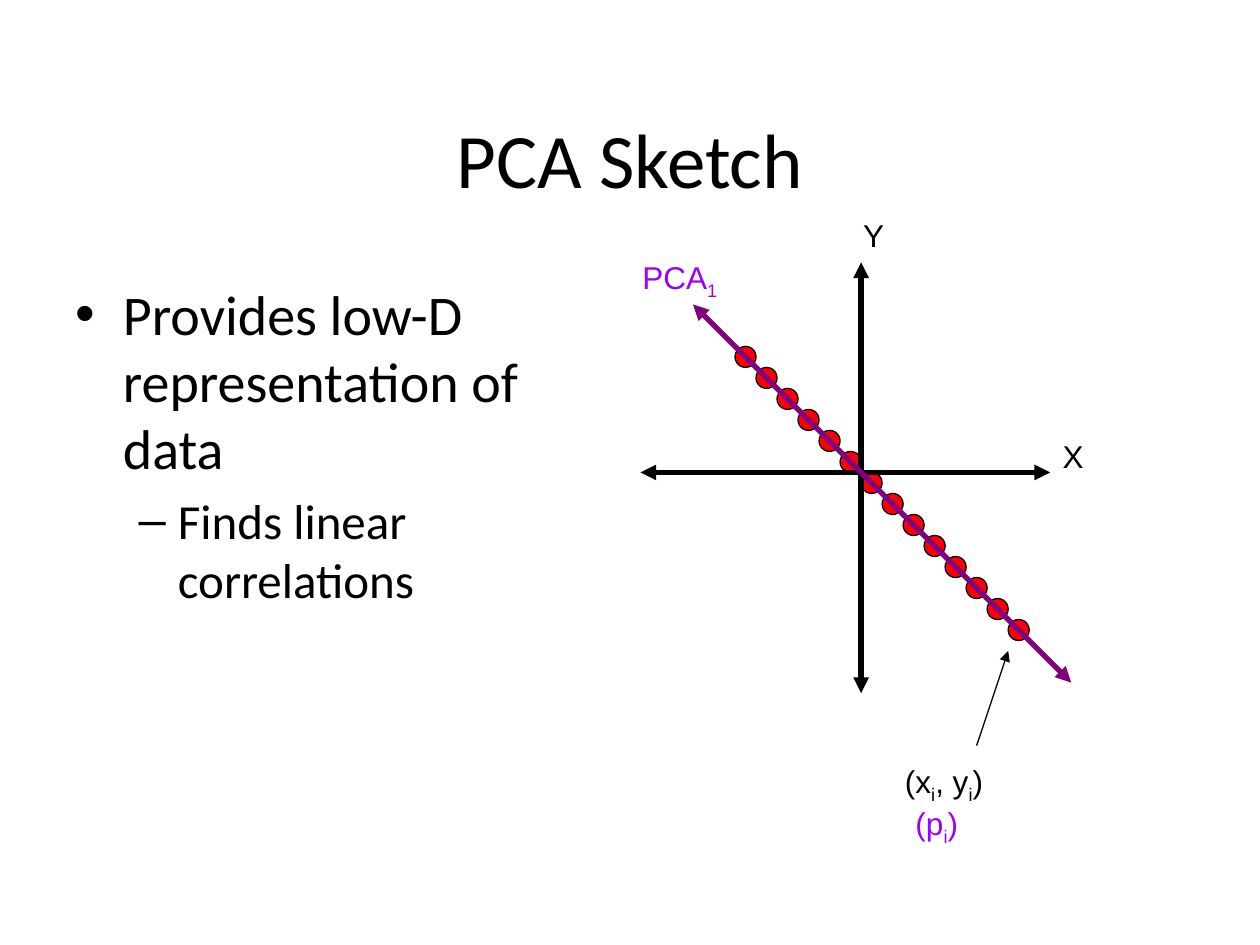
import pptx
import pptx.dml.color
import pptx.enum.shapes
import pptx.enum.text
import pptx.oxml.xmlchemy
import pptx.util

BLACK, RED, PURPLE, VIOLET = "000000", "FF0000", "800080", "9900FF"


def color(hex_string):
    return pptx.dml.color.RGBColor.from_string(hex_string)


def write_text(paragraph, text, size=18, font="Arial", fill=BLACK, align=None, level=0):
    paragraph.level = level
    paragraph.alignment = align
    first, *others = text.split("_")
    pieces = [(first, False)]
    for other in others:
        pieces += [(other[0], True), (other[1:], False)]
    for piece, subscript in pieces:
        if not piece:
            continue
        run = paragraph.add_run()
        run.text = piece
        run.font.size = pptx.util.Pt(size)
        run.font.name = font
        run.font.color.rgb = color(fill)
        if subscript:
            run.font._element.set("baseline", "-25000")


def place(shape, left, top, width, height):
    shape.left, shape.top, shape.width, shape.height = left, top, width, height


def add_title(slide, left, top, width, height):
    title = slide.shapes.title
    place(title, left, top, width, height)
    title.text_frame.vertical_anchor = pptx.enum.text.MSO_ANCHOR.MIDDLE
    write_text(title.text_frame.paragraphs[0], "PCA Sketch", size=44, font="Calibri",
               align=pptx.enum.text.PP_ALIGN.CENTER)


def add_points(slide, left, top, width, height):
    body = slide.placeholders[1]
    place(body, left, top, width, height)
    first = body.text_frame.paragraphs[0]
    first.space_before = pptx.util.Pt(0)
    write_text(first, "Provides low-D representation of data", size=32, font="Calibri")
    write_text(body.text_frame.add_paragraph(), "Finds linear correlations",
               size=28, font="Calibri", level=1)


def add_arrow(slide, start, end, line_color, weight, arrowheads):
    connector = slide.shapes.add_connector(
        pptx.enum.shapes.MSO_CONNECTOR.STRAIGHT, *start, *end)
    connector.line.color.rgb = color(line_color)
    connector.line.width = pptx.util.Pt(weight)
    line = connector.line._get_or_add_ln()
    for arrowhead in arrowheads:
        element = pptx.oxml.xmlchemy.OxmlElement(f"a:{arrowhead}")
        element.set("type", "triangle")
        line.append(element)
    connector._element.spPr.append(pptx.oxml.xmlchemy.OxmlElement("a:effectLst"))


def add_dot(slide, left, top, diameter):
    dot = slide.shapes.add_shape(
        pptx.enum.shapes.MSO_SHAPE.OVAL, left, top, diameter, diameter)
    dot.shadow.inherit = False
    dot.fill.solid()
    dot.fill.fore_color.rgb = color(RED)
    dot.line.color.rgb = color(BLACK)
    dot.line.width = pptx.util.Pt(0.75)


def add_label(slide, text, left, top, width, height, fill):
    frame = slide.shapes.add_textbox(left, top, width, height).text_frame
    frame.word_wrap = True
    frame.auto_size = pptx.enum.text.MSO_AUTO_SIZE.SHAPE_TO_FIT_TEXT
    write_text(frame.paragraphs[0], text, fill=fill)


def add_plot(slide, left, top, width):
    unit = width / 22.5

    def point(column, row):
        return round(left + column * unit), round(top + row * unit)

    for index in range(14):
        add_dot(slide, *point(5 + index, 6.5 + index), round(unit))

    both_ends = ("headEnd", "tailEnd")
    for start, end, line_color, weight, arrowheads in (
        ((11, 23), (11, 2.5), BLACK, 3, both_ends),
        ((0.5, 12.5), (20, 12.5), BLACK, 3, both_ends),
        ((21, 22.5), (3, 4.5), PURPLE, 3, both_ends),
        ((16.5, 25.5), (18, 21), BLACK, 0.75, ("tailEnd",)),
    ):
        add_arrow(slide, point(*start), point(*end), line_color, weight, arrowheads)

    for text, column, row, columns, fill in (
        ("Y", 10.5, 0, 2.5, BLACK),
        ("X", 20, 10.5, 2.5, BLACK),
        ("PCA_1", 0, 2, 6.5, VIOLET),
        ("(x_i, y_i)", 12.5, 26, 9, BLACK),
        ("(p_i)", 13, 28, 3.5, VIOLET),
    ):
        add_label(slide, text, *point(column, row),
                  round(columns * unit), round(2.4 * unit), fill)


def main():
    centimetres = pptx.util.Cm
    presentation = pptx.Presentation()
    presentation.slide_width = centimetres(25.4)
    presentation.slide_height = centimetres(19.05)
    slide = presentation.slides.add_slide(presentation.slide_layouts[1])
    slide.background.fill.solid()
    slide.background.fill.fore_color.rgb = color("FFFFFF")
    add_title(slide, *map(centimetres, (1.27, 1.27, 22.86, 3.81)))
    add_points(slide, *map(centimetres, (1.27, 5.5, 11.22, 10.8)))
    add_plot(slide, *map(centimetres, (12.7, 4.23, 9.53)))
    presentation.save("out.pptx")


if __name__ == "__main__":
    main()
